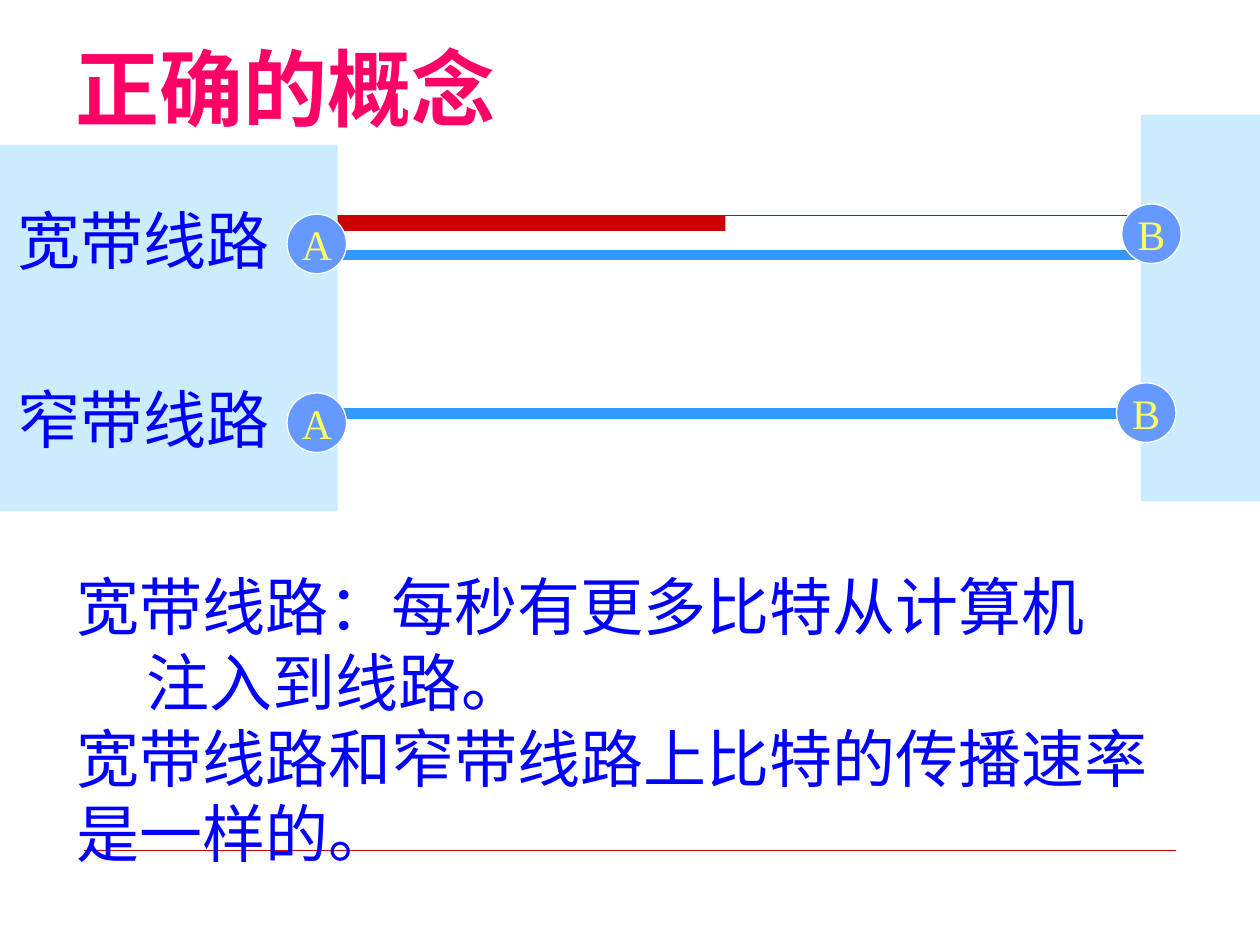
from collections import namedtuple
from dataclasses import dataclass

from lxml.etree import SubElement
from pptx import Presentation
from pptx.dml.color import RGBColor
from pptx.enum.shapes import MSO_CONNECTOR, MSO_SHAPE
from pptx.enum.text import MSO_ANCHOR, MSO_AUTO_SIZE, PP_ALIGN
from pptx.oxml.ns import qn
from pptx.util import Pt

Box = namedtuple("Box", "left top width height")
Row = namedtuple("Row", "label box link_start link_end link_drop right_node")


@dataclass(frozen=True)
class Theme:
    """Colours, fonts and type sizes of the slide."""
    title: RGBColor = RGBColor(0xFF, 0x00, 0x66)
    text: RGBColor = RGBColor(0x00, 0x00, 0xFF)
    rule: RGBColor = RGBColor(0xCC, 0x00, 0x00)
    link: RGBColor = RGBColor(0x33, 0x99, 0xFF)
    panel: RGBColor = RGBColor(0xCC, 0xEC, 0xFF)
    node: RGBColor = RGBColor(0x66, 0x99, 0xFF)
    node_line: RGBColor = RGBColor(0xFF, 0xFF, 0xFF)
    node_text: RGBColor = RGBColor(0xFF, 0xFF, 0x66)
    title_font: str = "DejaVu Sans"
    text_font: str = "Times New Roman"
    title_size: int = 48
    text_size: int = 36
    node_size: int = 24


THEME = Theme()
NODE_WIDTH = 34
LEFT_PANEL = Box(0, 82.8, 193, 209.5)
RIGHT_PANEL = Box(652, 65.5, 88, 221)
ROWS = (
    Row("宽带线路", Box(3, 111.6, 672, 50.4), 162, 661, 34, 641),
    Row("窄带线路", Box(3, 213.8, 669, 50.4), 181, 641, 22.4, 638),
)


def style_text(frame, font, size, color, bold=False):
    """Format every run in a text frame."""
    for para in frame.paragraphs:
        for span in para.runs:
            span.font.name = font
            span.font.size = Pt(size)
            span.font.bold = bold
            span.font.color.rgb = color


def add_line(page, start, end, color, weight):
    """Draw a straight line without a shadow."""
    line = page.shapes.add_connector(
        MSO_CONNECTOR.STRAIGHT, *(Pt(value) for value in (*start, *end)))
    line.line.color.rgb = color
    line.line.width = Pt(weight)
    SubElement(line._element.spPr, qn("a:effectLst"))


def add_filled(page, kind, box, fill):
    """Draw a filled preset shape without outline or shadow."""
    shape = page.shapes.add_shape(kind, *map(Pt, box))
    shape.shadow.inherit = False
    shape.fill.solid()
    shape.fill.fore_color.rgb = fill
    shape.line.fill.background()
    return shape


def add_text(page, box, text, wrap):
    """Place a text box in the body style."""
    frame = page.shapes.add_textbox(*map(Pt, box)).text_frame
    frame.word_wrap = wrap
    frame.text = text
    style_text(frame, THEME.text_font, THEME.text_size, THEME.text)
    return frame


def add_node(page, letter, box):
    """Draw a lettered circle."""
    node = add_filled(page, MSO_SHAPE.OVAL, box, THEME.node)
    node.line.color.rgb = THEME.node_line
    node.line.width = Pt(0.75)
    frame = node.text_frame
    frame.word_wrap = False
    frame.vertical_anchor = MSO_ANCHOR.MIDDLE
    frame.text = letter
    frame.paragraphs[0].alignment = PP_ALIGN.CENTER
    style_text(frame, THEME.text_font, THEME.node_size, THEME.node_text)


def draw_title(page, box):
    """Place and format the title placeholder."""
    title = page.shapes.title
    title.left, title.top, title.width, title.height = map(Pt, box)
    frame = title.text_frame
    frame.auto_size = MSO_AUTO_SIZE.NONE
    frame.vertical_anchor = MSO_ANCHOR.BOTTOM
    frame.text = "正确的概念"
    frame.paragraphs[0].alignment = PP_ALIGN.LEFT
    style_text(frame, THEME.title_font, THEME.title_size, THEME.title, True)


def draw_rules(page, box):
    """Draw the red heading bar and the thin rule at the foot."""
    bar = Box(box.left, box.top, 366.5, 9)
    right, bottom = box.left + box.width, box.top + box.height
    add_filled(page, MSO_SHAPE.RECTANGLE, bar, THEME.rule)
    add_line(page, (box.left, box.top), (right, box.top), THEME.rule, 0.75)
    add_line(page, (box.left, bottom), (right - 3, bottom), THEME.rule, 0.25)


def draw_link(page, row):
    """Draw the link of one circuit."""
    level = row.box.top + row.link_drop
    add_line(page, (row.link_start, level), (row.link_end, level), THEME.link, 6)


def draw_circuit(page, row):
    """Draw the label and the two end nodes of one circuit."""
    box = row.box
    add_node(page, "A", Box(box.left + 161, box.top + 10.8, NODE_WIDTH, NODE_WIDTH))
    add_node(page, "B", Box(row.right_node, box.top + 5, NODE_WIDTH, NODE_WIDTH))
    add_text(page, Box(box.left, box.top, 158.4, box.height), row.label, False)


def draw_explanation(page, box):
    """Write the two paragraphs under the circuits."""
    frame = add_text(page, box, "宽带线路：每秒有更多比特从计算机\v注入到线路。\n"
                     "宽带线路和窄带线路上比特的传播速率是一样的。", True)
    properties = frame.paragraphs[0]._p.get_or_add_pPr()
    properties.set("marL", str(Pt(40)))
    properties.set("indent", str(-Pt(40)))


def main():
    """Build the slide and save it."""
    deck = Presentation()
    deck.slide_width, deck.slide_height = Pt(720), Pt(540)
    page = deck.slides.add_slide(deck.slide_layouts[5])
    draw_title(page, Box(36, -8, 648, 90))
    draw_rules(page, Box(48, 123, 627, 363))
    for row in ROWS:
        draw_link(page, row)
    for panel in (LEFT_PANEL, RIGHT_PANEL):
        add_filled(page, MSO_SHAPE.RECTANGLE, panel, THEME.panel)
    for row in ROWS:
        draw_circuit(page, row)
    draw_explanation(page, Box(36.7, 321, 652.3, 180))
    deck.save("out.pptx")


if __name__ == "__main__":
    main()
